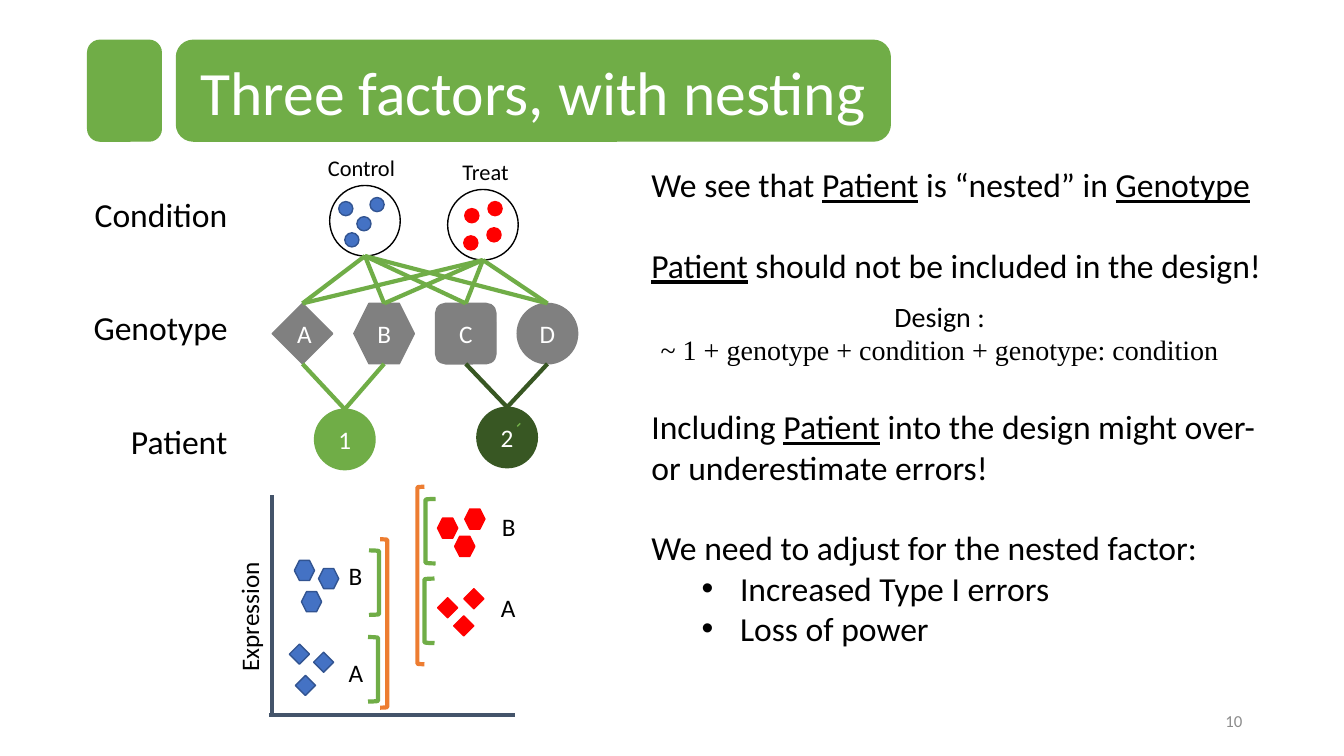
from lxml import etree
from pptx import Presentation
from pptx import util as u
from pptx.dml.color import RGBColor
from pptx.enum import shapes, text
from pptx.oxml.ns import qn

PX = 9144  # 100 px to the inch
SHAPE, ALIGN, ANCHOR = shapes.MSO_SHAPE, text.PP_ALIGN, text.MSO_ANCHOR
GREEN, DARK_GREEN, GRAY, ORANGE = "70AD47", "385723", "808080", "ED7D31"
BLUE, BLUE_EDGE, RED, AXIS = "4472C4", "325491", "FF0000", "44546A"
BLACK, WHITE, PAGE_GRAY = "000000", "FFFFFF", "8C8C8C"

TITLE = "Three factors, with nesting"
TITLE_BOX = (175, 40, 708, 100)
BANNERS = [(87, 40, 73, 100), TITLE_BOX]

# text, box, size
FACTORS = [("Condition", (84, 187, 153, 50), 24),
           ("Genotype", (83, 300, 155, 50), 24),
           ("Patient", (120, 413, 117, 50), 24)]
PLOT_LABELS = [("A", (336, 647, 35, 40), 18), ("B", (336, 551, 34, 40), 18),
               ("A", (487, 583, 35, 40), 18), ("B", (488, 502, 34, 40), 18)]

# name, name box, ring left and top
CONDITIONS = [("Control", (321, 148, 75, 37), 327, 184),
              ("Treat", (444, 152, 75, 37), 444, 188)]
RING = 70
GENOTYPES = [("A", SHAPE.DIAMOND), ("B", SHAPE.HEXAGON),
             ("C", SHAPE.ROUNDED_RECTANGLE), ("D", SHAPE.OVAL)]
GENOTYPE_LEFT, GENOTYPE_TOP, GENOTYPE_STEP, NODE = 270, 301, 81, 60
# name, left, top, colour, its genotypes
PATIENTS = [("1", 312, 406, GREEN, "AB"), ("2", 473, 404, DARK_GREEN, "CD")]

# shape, size, fill, edge, corners
MARKS = [
    (SHAPE.OVAL, 14, BLUE, BLUE_EDGE, [(354, 215), (367, 196), (336, 200), (342, 231)]),
    (SHAPE.OVAL, 14, RED, RED, [(483, 226), (484, 200), (461, 207), (460, 234)]),
    (SHAPE.FLOWCHART_DECISION, 20, BLUE, BLUE_EDGE, [(311, 647), (287, 639), (293, 670)]),
    (SHAPE.DIAMOND, 20, RED, RED, [(460, 584), (434, 593), (450, 611)]),
    (SHAPE.HEXAGON, 20, BLUE, BLUE_EDGE, [(316, 564), (292, 556), (299, 587)]),
    (SHAPE.HEXAGON, 20, RED, RED, [(461, 505), (434, 514), (451, 532)]),
]
# box, colour, rotation
BRACKETS = [((422, 495, 10, 64), GREEN, 0), ((421, 574, 10, 64), GREEN, 0),
            ((366, 546, 10, 64), GREEN, 180), ((365, 632, 10, 64), GREEN, 180),
            ((414, 483, 7, 176), ORANGE, 0), ((377, 535, 7, 167), ORANGE, 180)]
AXES = [((267, 709), (511, 709)), ((270, 710), (270, 491))]

LINE = 28.8
# spans (text, underlined), blank lines' worth of space before, bulleted
NOTES = [
    ([("We see that ", False), ("Patient", True), (" is “nested” in ", False),
      ("Genotype", True)], 0, False),
    ([("Patient", True), (" should not be included in the design!", False)], 1, False),
    ([("Including ", False), ("Patient", True),
      (" into the design might over- or underestimate errors!", False)], 3, False),
    ([("We need to adjust for the nested factor:", False)], 1, False),
    ([("Increased Type I errors", False)], 0, True),
    ([("Loss of power", False)], 0, True),
]
DESIGN = [("Design :", "Calibri"),
          ("~ 1 + genotype + condition + genotype: condition", "Times New Roman")]

deck = Presentation()
deck.slide_width, deck.slide_height = 1333 * PX, 750 * PX
page = deck.slides.add_slide(deck.slide_layouts[5])


def rgb(code):
    return RGBColor.from_string(code)


def scaled(values):
    return [value * PX for value in values]


def style(para, size, color=BLACK, align=ALIGN.LEFT, font="Calibri"):
    para.alignment = align
    para.font.name, para.font.size = font, u.Pt(size)
    para.font.color.rgb = rgb(color)


def add_label(words, box, size, color=BLACK, align=ALIGN.LEFT, wrap=False):
    label = page.shapes.add_textbox(*scaled(box))
    label.text_frame.word_wrap = wrap
    para = label.text_frame.paragraphs[0]
    para.text = words
    style(para, size, color, align)
    return label


def add_figure(kind, box, fill, edge, width=1, words=""):
    figure = page.shapes.add_shape(kind, *scaled(box))
    figure.shadow.inherit = False
    if fill:
        figure.fill.solid()
        figure.fill.fore_color.rgb = rgb(fill)
    else:
        figure.fill.background()
    figure.line.color.rgb, figure.line.width = rgb(edge), u.Pt(width)
    if words:
        para = figure.text_frame.paragraphs[0]
        para.text = words
        style(para, 18, WHITE, ALIGN.CENTER)
    return figure


def add_line(start, end, color):
    line = page.shapes.add_connector(shapes.MSO_CONNECTOR.STRAIGHT, *scaled(start + end))
    line.line.color.rgb, line.line.width = rgb(color), u.Pt(3)
    etree.SubElement(line._element.spPr, qn("a:effectLst"))


def add_bullet(para):
    props = para._p.get_or_add_pPr()
    props.set("marL", str(88 * PX))
    props.set("indent", str(-38 * PX))
    etree.SubElement(props, qn("a:buFont"), typeface="Arial")
    etree.SubElement(props, qn("a:buChar"), char="•")


def next_para(frame, index):
    return frame.add_paragraph() if index else frame.paragraphs[0]


# Title
for box in BANNERS:
    add_figure(SHAPE.ROUNDED_RECTANGLE, box, GREEN, GREEN)
title = page.shapes.title
title.left, title.top, title.width, title.height = scaled(TITLE_BOX)
title.text_frame.text = TITLE
title.text_frame.vertical_anchor = ANCHOR.MIDDLE
style(title.text_frame.paragraphs[0], 44, WHITE, ALIGN.CENTER)
page.shapes._spTree.append(title._element)  # in front of its banner

# Factor diagram
for words, box, size in FACTORS + PLOT_LABELS:
    add_label(words, box, size)
for name, box, left, top in CONDITIONS:
    label = add_label(name, box, 16, align=ALIGN.CENTER, wrap=True)
    label.text_frame.margin_left = label.text_frame.margin_right = 0
    add_figure(SHAPE.OVAL, (left, top, RING, RING), None, BLACK)

genotype_x = {}
for index, (name, kind) in enumerate(GENOTYPES):
    left = GENOTYPE_LEFT + index * GENOTYPE_STEP
    genotype_x[name] = left + NODE // 2
    add_figure(kind, (left, GENOTYPE_TOP, NODE, NODE), GRAY, GRAY, words=name)
for _, _, left, top in CONDITIONS:
    for x in genotype_x.values():
        add_line((left + RING // 2, top + RING), (x, GENOTYPE_TOP), GREEN)
for name, left, top, color, parents in PATIENTS:
    add_figure(SHAPE.OVAL, (left, top, NODE, NODE), color, color, words=name)
    for parent in parents:
        add_line((left + NODE // 2, top), (genotype_x[parent], GENOTYPE_TOP + NODE), color)
add_line((515, 422), (514, 421), GREEN)

# Expression plot
for start, end in AXES:
    add_line(start, end, AXIS)
add_label("Expression", (182, 591, 130, 40), 18).rotation = 270
for kind, size, fill, edge, corners in MARKS:
    for corner in corners:
        add_figure(kind, corner + (size, size), fill, edge)
for box, color, turn in BRACKETS:
    add_figure(SHAPE.LEFT_BRACKET, box, None, color, 3).rotation = turn

# Notes
notes = page.shapes.add_textbox(*scaled((633, 150, 658, 519))).text_frame
notes.word_wrap = True
notes.margin_left = notes.margin_right = notes.margin_top = notes.margin_bottom = 13 * PX
for index, (spans, gap, bulleted) in enumerate(NOTES):
    para = next_para(notes, index)
    para.line_spacing = u.Pt(LINE)
    if gap:
        para.space_before = u.Pt(gap * LINE)
    if bulleted:
        para.level = 1
        add_bullet(para)
    style(para, 24)
    for words, underlined in spans:
        span = para.add_run()
        span.text = words
        if underlined:
            span.font.underline = True

design = page.shapes.add_textbox(*scaled((573, 292, 718, 77))).text_frame
design.word_wrap = True
for index, (words, font) in enumerate(DESIGN):
    para = next_para(design, index)
    para.text = words
    style(para, 20, BLACK, ALIGN.CENTER, font)

number = add_label("10", (942, 695, 300, 40), 12, PAGE_GRAY, ALIGN.RIGHT, True)
number.text_frame.vertical_anchor = ANCHOR.MIDDLE

deck.save("out.pptx")
